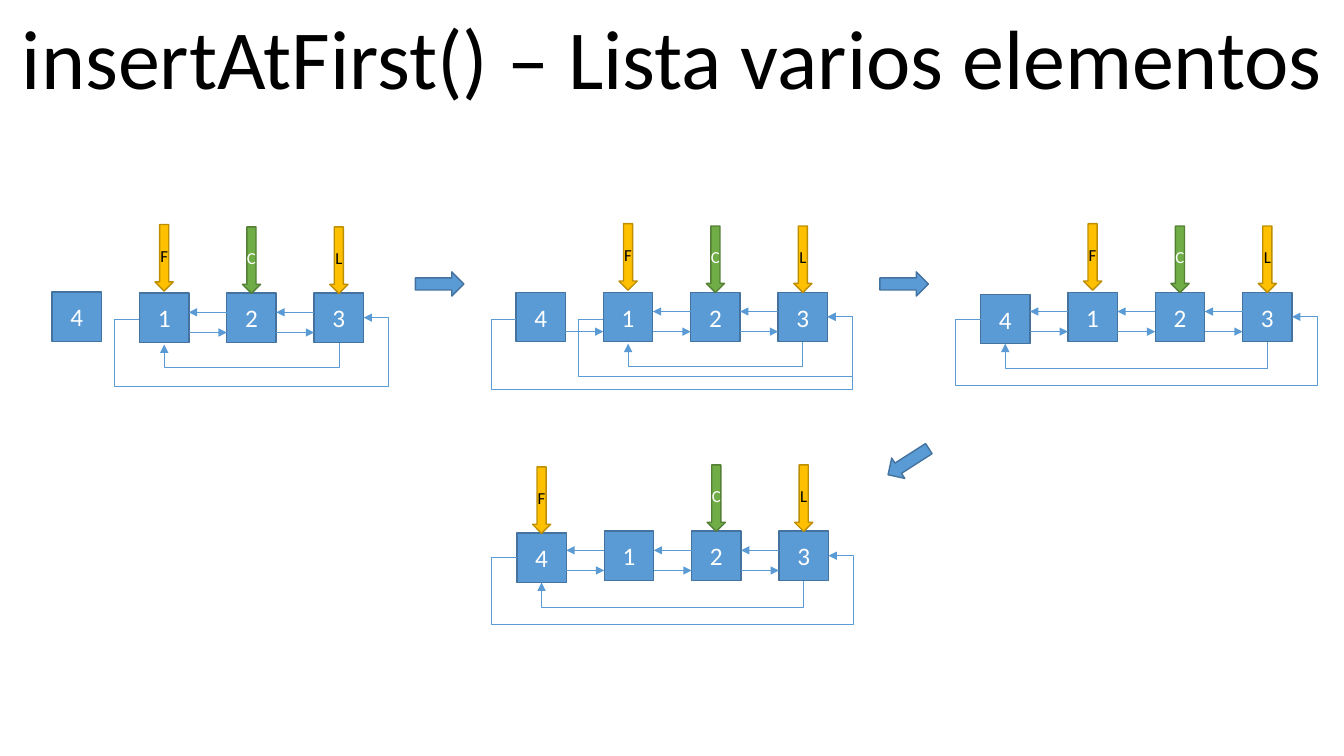
from pptx import Presentation
from pptx.dml.color import RGBColor
from pptx.enum.shapes import MSO_CONNECTOR, MSO_SHAPE
from pptx.enum.text import MSO_ANCHOR, MSO_AUTO_SIZE, PP_ALIGN
from pptx.oxml.ns import qn
from pptx.util import Pt
from lxml import etree

RECTANGLE, DOWN_ARROW, RIGHT_ARROW = MSO_SHAPE.RECTANGLE, MSO_SHAPE.DOWN_ARROW, MSO_SHAPE.RIGHT_ARROW
STRAIGHT, ELBOW = MSO_CONNECTOR.STRAIGHT, MSO_CONNECTOR.ELBOW
TOP, MIDDLE, CENTER = MSO_ANCHOR.TOP, MSO_ANCHOR.MIDDLE, PP_ALIGN.CENTER
NO_AUTO_SIZE = MSO_AUTO_SIZE.NONE

TITLE = "insertAtFirst() – Lista varios elementos"
VALUES = ["4", "1", "2", "3"]
STAGES = [
    {"left": 37.2, "top": 209.4, "new_shift": -0.7, "first_slot": 1, "first_lift": 49, "next_from": 1,
     "back_from": 1, "inner_slot": 1, "inner_depth": 18, "outer": [(1, 66.7)]},
    {"left": 368.6, "top": 208.8, "new_shift": 0, "first_slot": 1, "first_lift": 49, "next_from": 0,
     "back_from": 1, "inner_slot": 1, "inner_depth": 18, "outer": [(1, 60.3), (0, 69)]},
    {"left": 700.4, "top": 208.8, "new_shift": 1.4, "first_slot": 1, "first_lift": 49, "next_from": 0,
     "back_from": 0, "inner_slot": 0, "inner_depth": 19.4, "outer": [(0, 66.5)]},
    {"left": 369.2, "top": 379.4, "new_shift": 1.4, "first_slot": 0, "first_lift": 47.3, "next_from": 0,
     "back_from": 0, "inner_slot": 0, "inner_depth": 19.4, "outer": [(0, 66.5)]},
]
STEP_ARROWS = [(296.7, 194.2, 0), (628.5, 194.2, 0), (631.6, 321.1, 147.3)]

THEME = {
    "font": "Calibri",
    "title": {"size": 60, "color": "000000"},
    "node": {"fill": "5B9BD5", "line": "43739E", "color": "FFFFFF", "size": 18},
    "end": {"fill": "FFC000", "line": "BD8E00", "color": "000000", "size": 12},
    "current": {"fill": "70AD47", "line": "538035", "color": "FFFFFF", "size": 12},
    "link": "5B9BD5",
}
NODE, PITCH, LAST = 35.3, 62.4, len(VALUES) - 1
POINTER_WIDTH, POINTER_HEIGHT = 13, 47.5
BACK_Y, NEXT_Y, LOOP_START_Y, LOOP_END_Y = 13.7, 28.1, 19, 17.5
LOOP_MARGIN, INNER_DROP = 18, 1.4


def write(shape, text, style, anchor):
    frame = shape.text_frame
    frame.text = text
    settings = {"word_wrap": False, "vertical_anchor": anchor, "auto_size": NO_AUTO_SIZE,
                "margin_left": 0, "margin_right": 0}
    for name, value in settings.items():
        setattr(frame, name, value)
    paragraph = frame.paragraphs[0]
    paragraph.alignment = CENTER
    for name, value in {"name": THEME["font"], "size": Pt(style["size"])}.items():
        setattr(paragraph.font, name, value)
    paragraph.font.color.rgb = RGBColor.from_string(style["color"])


def add_block(shapes, kind, box, style, text=""):
    shape = shapes.add_shape(kind, *map(Pt, box))
    shape.shadow.inherit = False
    shape.fill.solid()
    shape.fill.fore_color.rgb = RGBColor.from_string(style["fill"])
    shape.line.color.rgb = RGBColor.from_string(style["line"])
    shape.line.width = Pt(1)
    if text:
        write(shape, text, style, MIDDLE)
    return shape


def add_link(shapes, kind, start, end):
    connector = shapes.add_connector(kind, *map(Pt, start + end))
    connector.line.color.rgb = RGBColor.from_string(THEME["link"])
    connector.line.width = Pt(0.5)
    properties = connector._element.spPr
    etree.SubElement(properties.find(qn("a:ln")), qn("a:tailEnd"), type="triangle")
    etree.SubElement(properties, qn("a:effectLst"))
    return properties


def bend(properties, preset, ratios, transform):
    geometry = properties.find(qn("a:prstGeom"))
    geometry.set("prst", preset)
    guides = geometry.find(qn("a:avLst"))
    for number, ratio in enumerate(ratios, 1):
        etree.SubElement(guides, qn("a:gd"), name=f"adj{number}", fmla=f"val {round(ratio * 100000)}")
    for name, value in transform.items():
        properties.find(qn("a:xfrm")).set(name, value)


def add_inner_loop(shapes, start_x, end_x, y, depth):
    center_x, center_y = (start_x + end_x) / 2, y + INNER_DROP / 2
    half_width, half_height = INNER_DROP / 2, (start_x - end_x) / 2
    properties = add_link(shapes, ELBOW, (center_x - half_width, center_y - half_height),
                          (center_x + half_width, center_y + half_height))
    bend(properties, "bentConnector3", [depth / INNER_DROP], {"rot": "5400000"})


def add_outer_loop(shapes, start_x, end_x, top, depth):
    properties = add_link(shapes, ELBOW, (start_x, top + LOOP_END_Y), (end_x, top + LOOP_START_Y))
    side = LOOP_MARGIN / (end_x - start_x)
    floor = (depth - LOOP_START_Y) / (LOOP_END_Y - LOOP_START_Y)
    bend(properties, "bentConnector5", [-side, floor, 1 + side], {"rot": "10800000", "flipH": "1"})


def add_stage(slide, stage):
    shapes = slide.shapes.add_group_shape().shapes
    top = stage["top"]
    lefts = [stage["left"] + slot * PITCH for slot in range(len(VALUES))]
    tops = [top + stage["new_shift"]] + [top] * LAST
    for value, left, node_top in zip(VALUES, lefts, tops):
        add_block(shapes, RECTANGLE, (left, node_top, NODE, NODE), THEME["node"], value)
    pointers = [("F", stage["first_slot"], stage["first_lift"], "end"),
                ("C", 2, 47.3, "current"), ("L", LAST, 47.3, "end")]
    for label, slot, lift, style in pointers:
        box = (lefts[slot] + (NODE - POINTER_WIDTH) / 2, tops[slot] - lift, POINTER_WIDTH, POINTER_HEIGHT)
        add_block(shapes, DOWN_ARROW, box, THEME[style], label)
    for slot in range(LAST):
        right, following = lefts[slot] + NODE, lefts[slot + 1]
        if slot >= stage["back_from"]:
            add_link(shapes, STRAIGHT, (following, top + BACK_Y), (right, top + BACK_Y))
        if slot >= stage["next_from"]:
            add_link(shapes, STRAIGHT, (right, top + NEXT_Y), (following, top + NEXT_Y))
    add_inner_loop(shapes, lefts[LAST] + NODE / 2, lefts[stage["inner_slot"]] + NODE / 2,
                   top + NODE, stage["inner_depth"])
    for slot, depth in stage["outer"]:
        add_outer_loop(shapes, lefts[slot], lefts[LAST] + NODE, top, depth)


def main():
    """Build the slide showing insertion at the head of a circular list."""
    presentation = Presentation()
    presentation.slide_width, presentation.slide_height = Pt(960), Pt(540)
    slide = presentation.slides.add_slide(presentation.slide_layouts[5])
    title = slide.shapes.title
    for name, value in {"left": 0.7, "top": 0, "width": 959, "height": 80}.items():
        setattr(title, name, Pt(value))
    write(title, TITLE, THEME["title"], TOP)
    for stage in STAGES:
        add_stage(slide, stage)
    for left, top, rotation in STEP_ARROWS:
        arrow = add_block(slide.shapes, RIGHT_ARROW, (left, top, 34.6, 17.3), THEME["node"])
        arrow.rotation = rotation
    presentation.save("out.pptx")


if __name__ == "__main__":
    main()
